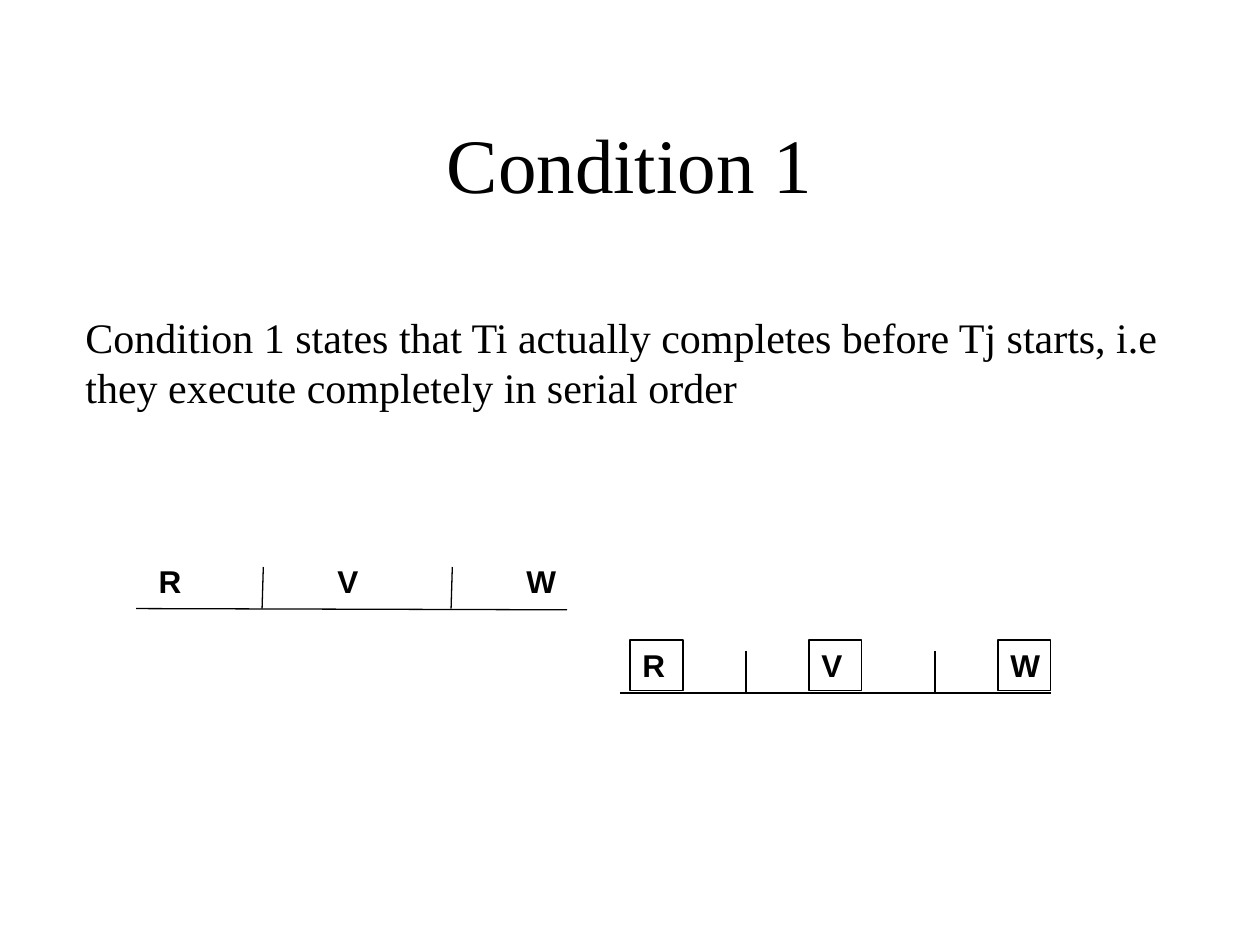
from pptx import Presentation
from pptx.dml.color import RGBColor
from pptx.enum.shapes import MSO_CONNECTOR, MSO_SHAPE
from pptx.enum.text import MSO_ANCHOR, PP_ALIGN
from pptx.oxml.ns import qn
from pptx.util import Inches, Pt
from lxml import etree

BLACK = RGBColor(0, 0, 0)
LINE = MSO_CONNECTOR.STRAIGHT
RECT = MSO_SHAPE.RECTANGLE
LEFT, CENTER = PP_ALIGN.LEFT, PP_ALIGN.CENTER
TOP, MIDDLE = MSO_ANCHOR.TOP, MSO_ANCHOR.MIDDLE


def write(shape, text, size, font, align=LEFT, anchor=TOP, bold=False):
    frame = shape.text_frame
    frame.word_wrap = True
    frame.vertical_anchor = anchor
    para = frame.paragraphs[0]
    para.alignment = align
    run = para.add_run()
    run.text = text
    run.font.size = Pt(size)
    run.font.name = font
    run.font.bold = bold
    run.font.color.rgb = BLACK


def rule(x1, y1, x2, y2):
    line = slide.shapes.add_connector(
        LINE, Inches(x1), Inches(y1), Inches(x2), Inches(y2))
    line.line.color.rgb = BLACK
    line.line.width = Pt(0.75)
    etree.SubElement(line._element.spPr, qn("a:effectLst"))


prs = Presentation()
prs.slide_width, prs.slide_height = Inches(10), Inches(7.5)
slide = prs.slides.add_slide(prs.slide_layouts[5])

# Title
title = slide.shapes.title
title.left, title.top = Inches(0.75), Inches(0.67)
title.width, title.height = Inches(8.5), Inches(1.25)
write(title, "Condition 1", 44, "Times New Roman", CENTER, MIDDLE)

# Statement
body = slide.shapes.add_textbox(
    Inches(0.58), Inches(2.42), Inches(9.08), Inches(2.73))
write(body, "Condition 1 states that Ti actually completes before Tj starts, "
      "i.e they execute completely in serial order", 24, "Times New Roman")

# Timelines of Ti and Tj: left, base, slant of the lines, boxed labels
for left, base, slant, boxed in [(1.08, 4.83, 0.01, False),
                                 (4.92, 5.5, 0, True)]:
    rule(left, base, left + 3.42, base + slant)

    # Phase labels
    for name, step in [("R", 0.08), ("V", 1.5), ("W", 3)]:
        place = (Inches(left + step), Inches(base - 0.42),
                 Inches(0.42), Inches(0.4))
        if boxed:
            label = slide.shapes.add_shape(RECT, *place)
            label.shadow.inherit = False
            label.fill.background()
            label.line.color.rgb = BLACK
            label.line.width = Pt(0.75)
        else:
            label = slide.shapes.add_textbox(*place)
        write(label, name, 18, "Arial", bold=True)

    # Phase dividers
    for step in (1, 2.5):
        rule(left + step, base, left + step + slant, base - 0.33)

prs.save("out.pptx")
